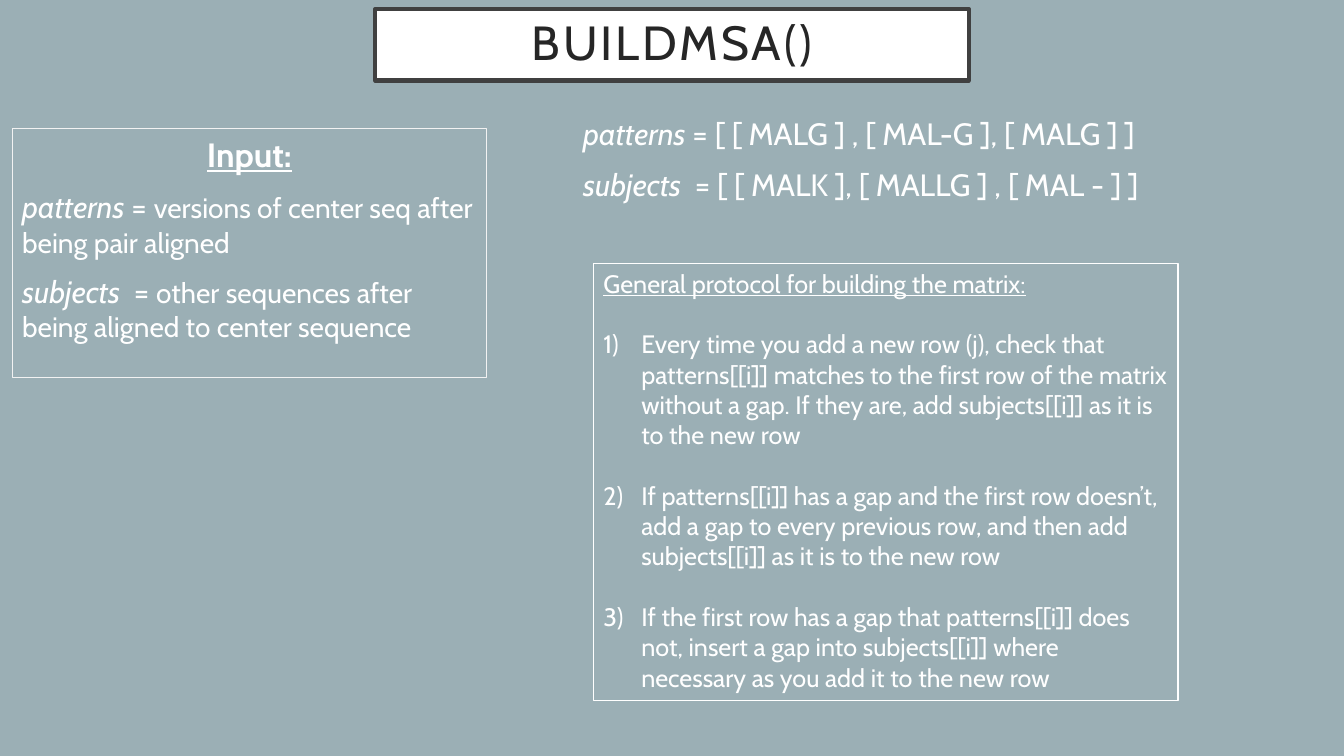
from pptx import Presentation, util as u
from pptx.dml import color
from pptx.enum import shapes, text
from pptx.oxml import ns
from lxml import etree

Pt = u.Pt


def rgb(code):
    return color.RGBColor.from_string(code)


def assign(obj, vals):
    for key, val in vals.items():
        setattr(obj, key, val)


class Deck:
    face = "Cabin"
    white = "FFFFFF"
    ground = "9BAFB5"
    mid = text.PP_ALIGN.CENTER

    def __init__(self, wide, high):
        self.prs = Presentation()
        assign(self.prs, {"slide_width": Pt(wide), "slide_height": Pt(high)})
        self.slide = self.prs.slides.add_slide(self.prs.slide_layouts[5])
        fill = self.slide.background.fill
        fill.solid()
        fill.fore_color.rgb = rgb(self.ground)

    def place(self, shape, rect):
        keys = ("left", "top", "width", "height")
        assign(shape, dict(zip(keys, map(Pt, rect))))

    def border(self, shape, code, width):
        shape.line.color.rgb = rgb(code)
        shape.line.width = Pt(width)

    def frame(self, shape, anchor):
        assign(shape.text_frame, {
            "word_wrap": True,
            "auto_size": text.MSO_AUTO_SIZE.NONE,
            "vertical_anchor": anchor,
        })
        return shape.text_frame

    def run(self, par, words, size, code=white, **style):
        run = par.add_run()
        run.text = words
        assign(run.font, {"name": self.face, "size": Pt(size), **style})
        run.font.color.rgb = rgb(code)
        return run

    def title(self, words, rect):
        shape = self.slide.shapes.title
        self.place(shape, rect)
        shape.fill.solid()
        shape.fill.fore_color.rgb = rgb(self.white)
        self.border(shape, "404040", 3)
        frame = self.frame(shape, text.MSO_ANCHOR.MIDDLE)
        assign(frame, {
            "margin_left": Pt(21.6), "margin_right": Pt(21.6),
            "margin_top": Pt(14.4), "margin_bottom": Pt(14.4),
        })
        par = frame.paragraphs[0]
        assign(par, {"alignment": self.mid, "line_spacing": 0.9})
        run = self.run(par, words, 34.2, "262626")
        run.font._element.set("spc", "200")

    def box(self, rect, code):
        shape = self.slide.shapes.add_shape(
            shapes.MSO_SHAPE.RECTANGLE, *map(Pt, rect))
        shape.shadow.inherit = False
        shape.fill.background()
        self.border(shape, code, 0.75)
        return self.frame(shape, text.MSO_ANCHOR.TOP)

    def label(self, rect):
        shape = self.slide.shapes.add_textbox(*map(Pt, rect))
        return self.frame(shape, text.MSO_ANCHOR.TOP)

    def prose(self, frame, pars, gap):
        for num, runs in enumerate(pars):
            par = frame.add_paragraph() if num else frame.paragraphs[0]
            assign(par, {
                "alignment": text.PP_ALIGN.LEFT,
                "space_before": Pt(gap if num else 0),
            })
            for words, size, style in runs:
                self.run(par, words, size, **style)
        return frame.paragraphs

    def number(self, par, indent):
        props = par._p.get_or_add_pPr()
        props.set("marL", str(Pt(indent)))
        props.set("indent", str(-Pt(indent)))
        mark = etree.SubElement(props, ns.qn("a:buAutoNum"))
        mark.set("type", "arabicParenR")


slant = {"italic": True}
under = {"underline": True}

deck = Deck(960, 540)
deck.title("BUILDMSA()", (268, 6.5, 424, 51))

values = [
    ("patterns", " = [ [ MALG ] , [ MAL-G ], [ MALG ] ]"),
    ("subjects  ", "= [ [ MALK ], [ MALLG ] , [ MAL - ] ] "),
]
deck.prose(
    deck.label((409.5, 78.5, 446.5, 90)),
    [[(name, 22, slant), (value, 22, {})] for name, value in values], 10)

steps = [
    "Every time you add a new row (j), check that patterns[[i]] matches to "
    "the first row of the matrix without a gap. If they are, add "
    "subjects[[i]] as it is to the new row ",
    "If patterns[[i]] has a gap and the first row doesn’t, add a gap to "
    "every previous row, and then add subjects[[i]] as it is to the new row",
    "If the first row has a gap that patterns[[i]] does not, insert a gap "
    "into subjects[[i]] where necessary as you add it to the new row",
]
head = [("General protocol for building the matrix:", 18, under)]
pars = deck.prose(
    deck.box((424, 188, 417.5, 312.5), "FFFFFF"),
    [head] + [[(step, 18, {})] for step in steps], 21.75)
for par in pars[1:]:
    deck.number(par, 27)

inputs = [
    ("patterns", " = ", "versions of center seq after being pair aligned"),
    ("subjects  ", "= ",
     "other sequences after being aligned to center sequence"),
]
head = [("Input:", 24, {"bold": True, **under})]
pars = deck.prose(
    deck.box((8.75, 92, 338.75, 177.5), "F2F2F2"),
    [head] + [[(name, 22, slant), (sign, 22, {}), (note, 20, {})]
              for name, sign, note in inputs], 10)
pars[0].alignment = deck.mid

deck.prs.save("out.pptx")
